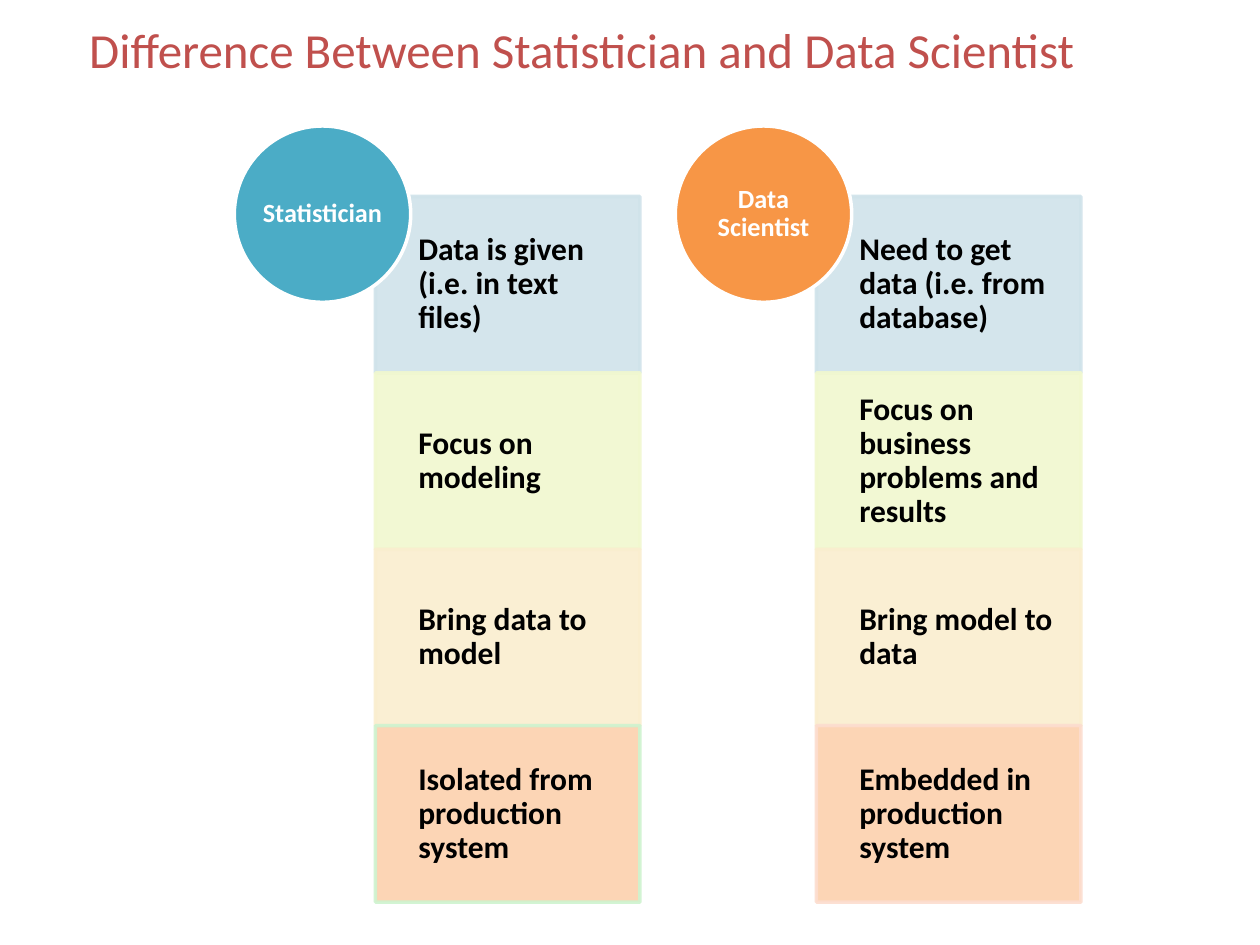
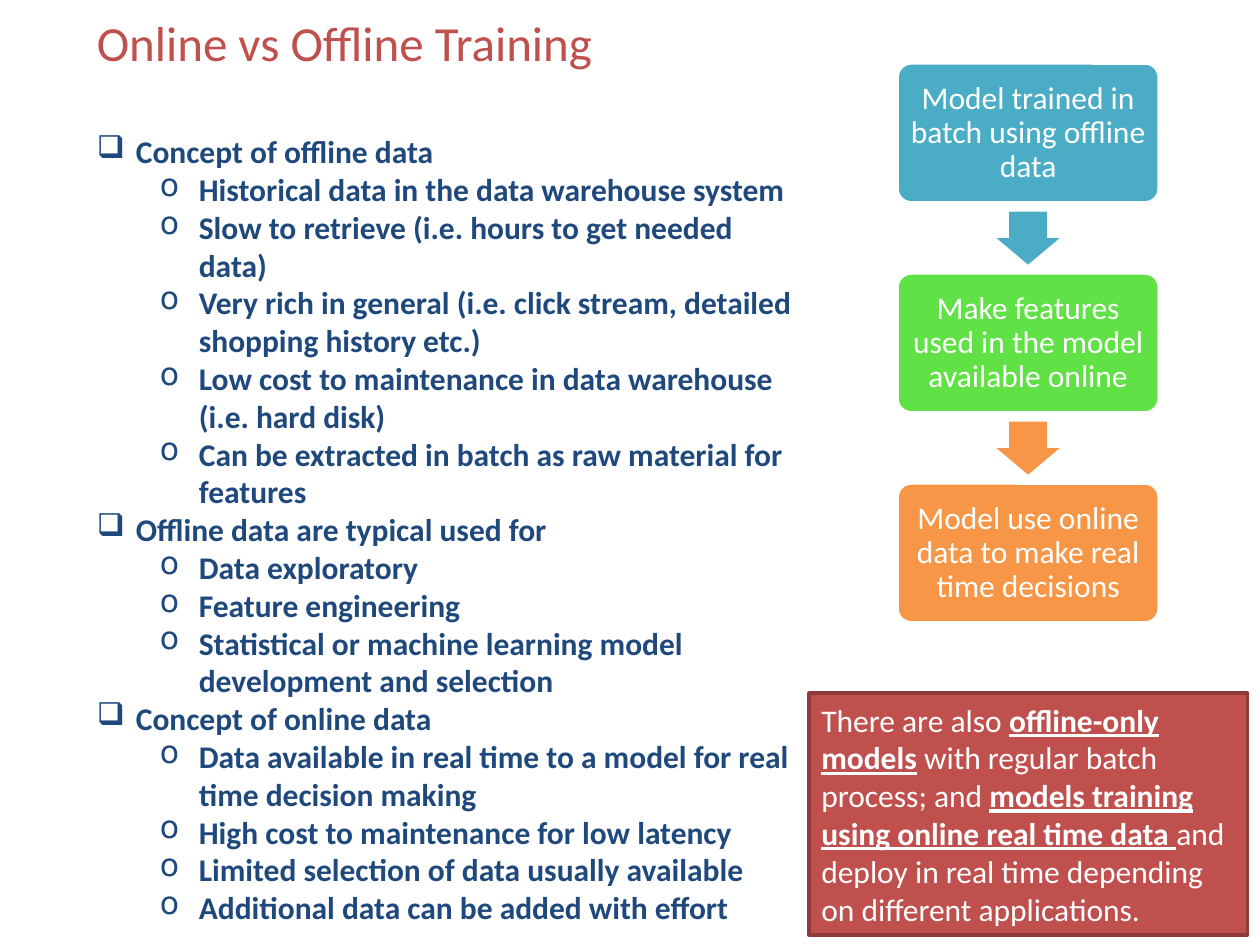
import pptx
import pptx.util
import pptx.dml.color
import pptx.enum.shapes
import pptx.enum.text
import pptx.oxml
import pptx.oxml.ns

Inches, Pt = pptx.util.Inches, pptx.util.Pt
SHAPE = pptx.enum.shapes.MSO_SHAPE
ALIGN = pptx.enum.text.PP_ALIGN
MIDDLE = pptx.enum.text.MSO_ANCHOR.MIDDLE
FONT = "Calibri"
WHITE, BLACK, RED, DARK_RED, NAVY = "FFFFFF", "000000", "C0504D", "8E3B39", "1F497D"
TEAL, GREEN, ORANGE = "4BACC6", "60E146", "F79646"


def paint(color, value, alpha=100):
    """Set a fill or font colour, with opacity in percent."""
    color.rgb = pptx.dml.color.RGBColor.from_string(value)
    if alpha < 100:
        clr = color._xFill.find(".//" + pptx.oxml.ns.qn("a:srgbClr"))
        pptx.oxml.ns  # namespace of the new element is that of clr
        a = clr.makeelement(pptx.oxml.ns.qn("a:alpha"), {"val": str(alpha * 1000)})
        clr.append(a)


def add_box(s, kind, at, fill, line=None, text="", size=18, color=WHITE, bold=False,
            align=ALIGN.LEFT, insets=(0.1, 0.05, 0.1, 0.05), spacing=None, alpha=(100, 100)):
    """Add a shape, or a text box when kind is None, with one styled paragraph."""
    at = [Inches(v) for v in at]
    if kind is None:
        sp = s.shapes.add_textbox(*at)
    else:
        sp = s.shapes.add_shape(kind, *at)
        sp.shadow.inherit = False
        sp.fill.solid()
        paint(sp.fill.fore_color, fill, alpha[0])
        if line:
            sp.line.fill.solid()
            paint(sp.line.fill.fore_color, line, alpha[1])
            sp.line.width = Pt(2)
        else:
            sp.line.fill.background()
    tf = sp.text_frame
    tf.word_wrap = True
    tf.vertical_anchor = MIDDLE
    tf.margin_left, tf.margin_top, tf.margin_right, tf.margin_bottom = [Inches(v) for v in insets]
    p = tf.paragraphs[0]
    p.text = text
    p.alignment = align
    p.line_spacing = spacing
    for r in p.runs:
        r.font.name, r.font.size, r.font.bold = FONT, Pt(size), bold
        paint(r.font.color, color)
    return sp


prs = pptx.Presentation()
prs.slide_width, prs.slide_height = Inches(10), Inches(7.5)

# Both slides with their titles
titles = [
    ("Difference Between Statistician and Data Scientist", (0.61, 0.02, 9.22, 0.73)),
    ("Online vs Offline Training", (0.67, 0, 8.58, 0.67)),
]
for title, at in titles:
    s = prs.slides.add_slide(prs.slide_layouts[6])
    add_box(s, None, at, None, text=title, size=28, color=RED)
compare, training = prs.slides

# Slide 1: two columns of stacked boxes, each under a round heading
row_fills = ["D0E3EA", "F1F8CF", "FAEECF", "FCD5B5"]
columns = [
    ("Statistician", TEAL, "CEF3CF",
     ["Data is given (i.e. in text files)", "Focus on modeling",
      "Bring data to model", "Isolated from production system"]),
    ("Data Scientist", ORANGE, "FCDDCF",
     ["Need to get data (i.e. from database)", "Focus on business problems and results",
      "Bring model to data", "Embedded in production system"]),
]
side = 1.4
for col, (heading, accent, last_line, rows) in enumerate(columns):
    left = 1.86 + 3.5 * col
    for row, (text, fill) in enumerate(zip(rows, row_fills)):
        last = row == len(rows) - 1
        add_box(compare, SHAPE.RECTANGLE, (left + 1.12, 1.56 + side * row, 2.1, side),
                fill, last_line if last else fill, text, color=BLACK, bold=True,
                insets=(0.34, 0.14, 0.14, 0.14), spacing=0.9,
                alpha=(100 if last else 90, 90))
    add_box(compare, SHAPE.OVAL, (left, 1, side, side), accent, WHITE, heading, size=15,
            bold=True, align=ALIGN.CENTER, insets=(0, 0, 0, 0), spacing=0.9)

# Slide 2: bulleted outline
outline = [
    ("Concept of offline data",
     ["Historical data in the data warehouse system",
      "Slow to retrieve (i.e. hours to get needed data)",
      "Very rich in general (i.e. click stream, detailed shopping history etc.)",
      "Low cost to maintenance in data warehouse (i.e. hard disk)",
      "Can be extracted in batch as raw material for features"]),
    ("Offline data are typical used for",
     ["Data exploratory", "Feature engineering",
      "Statistical or machine learning model development and selection"]),
    ("Concept of online data",
     ["Data available in real time to a model for real time decision making",
      "High cost to maintenance for low latency",
      "Limited selection of data usually available",
      "Additional data can be added with effort"]),
]
lines = []
for topic, points in outline:
    lines.append((0, topic))
    lines += [(1, point) for point in points]
tf = training.shapes.add_textbox(Inches(0.67), Inches(1), Inches(5.75), Inches(6.46)).text_frame
tf.word_wrap = True
for i, (level, text) in enumerate(lines):
    p = tf.add_paragraph() if i else tf.paragraphs[0]
    p.text = text
    p.level = level
    font = p.runs[0].font
    font.name, font.size, font.bold = FONT, Pt(18), True
    paint(font.color, NAVY)
    pPr = p._p.get_or_add_pPr()
    pPr.set("marL", str(Inches(0.31 + 0.5 * level)))
    pPr.set("indent", str(Inches(-0.31)))
    bullet = pPr.makeelement(pptx.oxml.ns.qn("a:buChar"), {"char": "\u2751o"[level]})
    pPr.append(bullet)

# Slide 2: three steps joined by block arrows
steps = [
    ("Model trained in batch using offline data", TEAL, TEAL),
    ("Make features used in the model available online", GREEN, ORANGE),
    ("Model use online data to make real time decisions", ORANGE, None),
]
for i, (text, fill, arrow_fill) in enumerate(steps):
    top = 0.5 + 5 / 3 * i
    sp = add_box(training, SHAPE.ROUNDED_RECTANGLE, (7.12, top, 2.08, 1.11), fill, WHITE, text,
                 align=ALIGN.CENTER, insets=(0.07, 0.07, 0.07, 0.07), spacing=0.9)
    sp.adjustments[0] = 0.1
    if arrow_fill:
        arrow = add_box(training, SHAPE.DOWN_ARROW, (7.91, top + 1.18, 0.5, 0.42), arrow_fill)
        arrow.adjustments[0], arrow.adjustments[1] = 0.6, 0.5

# Slide 2: note with emphasised phrases
note = add_box(training, SHAPE.RECTANGLE, (6.42, 5.5, 3.48, 1.92), RED, DARK_RED)
phrases = [
    ("There are also ", False),
    ("offline-only models", True),
    (" with regular batch process; and ", False),
    ("models training using online real time data ", True),
    ("and deploy in real time depending on different applications.", False),
]
for text, strong in phrases:
    r = note.text_frame.paragraphs[0].add_run()
    r.text = text
    r.font.name, r.font.size = FONT, Pt(18)
    r.font.bold = r.font.underline = strong
    paint(r.font.color, WHITE)

prs.save("out.pptx")
